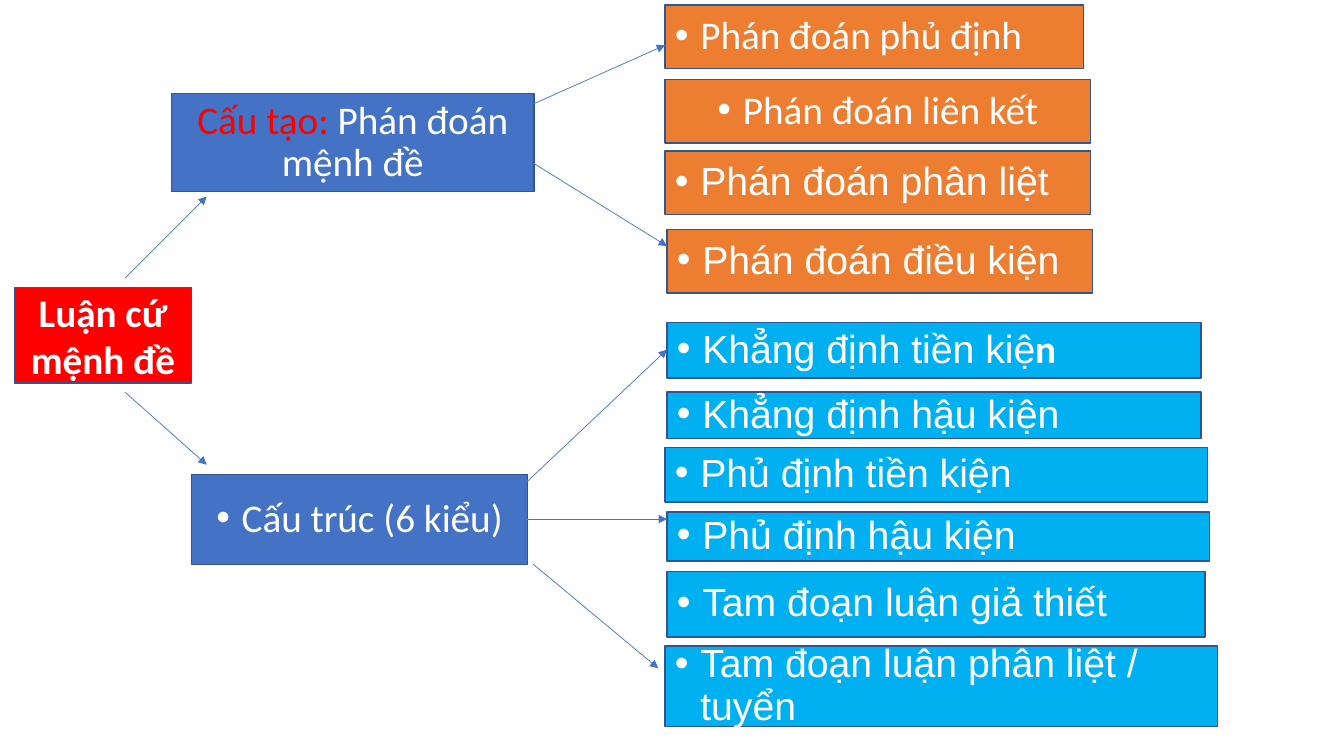
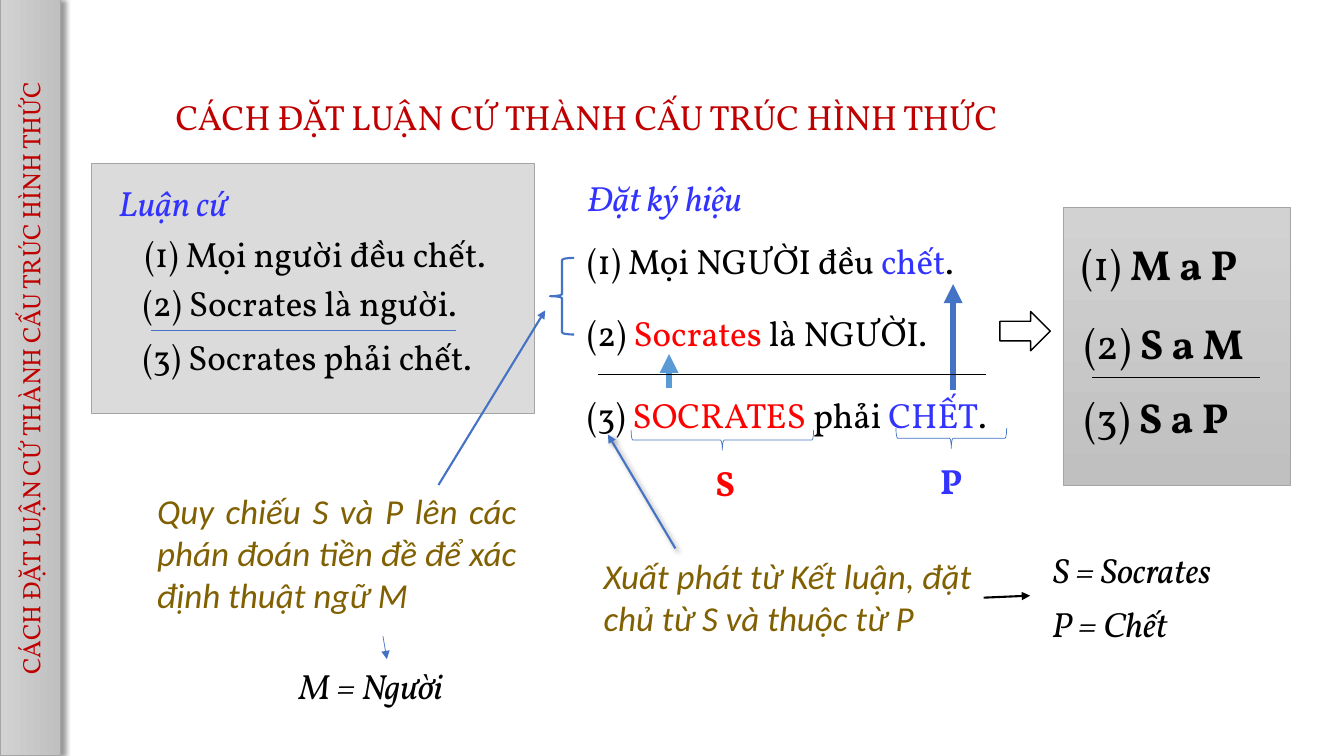
from lxml.etree import SubElement
from pptx import Presentation
from pptx.dml.color import RGBColor
from pptx.enum.shapes import MSO_CONNECTOR, MSO_SHAPE
from pptx.enum.text import MSO_ANCHOR, MSO_AUTO_SIZE, PP_ALIGN
from pptx.oxml.ns import qn
from pptx.util import Cm, Pt

BLUE, LIGHT_BLUE, SKY, ORANGE = "4472C4", "5B9BD5", "00B0F0", "ED7D31"
RED, DARK_RED, VIOLET, BROWN = "FF0000", "C00000", "3333FF", "806000"
BLACK, WHITE, BOX_EDGE, PANEL_EDGE, PANEL = "000000", "FFFFFF", "325491", "A5A5A5", "DBDBDB"
GRADIENT = ("D2D2D2", "C0C0C0")
HEADING = "CÁCH ĐẶT LUẬN CỨ THÀNH CẤU TRÚC HÌNH THỨC"


def rgb(color):
    return RGBColor.from_string(color)


def add_effects(s, shadow_angle=None):
    effects = SubElement(s._element.spPr, qn("a:effectLst"))
    if shadow_angle is None:
        return
    shadow = SubElement(effects, qn("a:outerShdw"), blurRad=str(Pt(4)), dist=str(Pt(3)),
                        dir=str(shadow_angle * 60000), rotWithShape="0")
    color = SubElement(shadow, qn("a:srgbClr"), val=BLACK)
    SubElement(color, qn("a:alpha"), val="40000")


def style_box(s, fill, edge, width):
    if isinstance(fill, tuple):
        s.fill.gradient()
        s.fill.gradient_angle = 270
        for stop, color in zip(s.fill.gradient_stops, fill):
            stop.color.rgb = rgb(color)
    elif fill:
        s.fill.solid()
        s.fill.fore_color.rgb = rgb(fill)
    else:
        s.fill.background()
    s.line.color.rgb = rgb(edge)
    s.line.width = Pt(width)


def add_box(slide, box, fill, edge, width=1, kind=MSO_SHAPE.RECTANGLE, rotation=0, shadow_angle=None):
    s = slide.shapes.add_shape(kind, *map(Cm, box))
    s.rotation = rotation
    style_box(s, fill, edge, width)
    add_effects(s, shadow_angle)
    return s


def add_line(slide, start, end, color=BLUE, width=0.5, arrow=True, shadow_angle=None):
    s = slide.shapes.add_connector(MSO_CONNECTOR.STRAIGHT, *map(Cm, (*start, *end)))
    s.line.color.rgb = rgb(color)
    s.line.width = Pt(width)
    if arrow:
        SubElement(s.line._get_or_add_ln(), qn("a:tailEnd"), type="triangle")
    add_effects(s, shadow_angle)


def write(s, runs, size=25, font="Vollkorn", align=PP_ALIGN.LEFT, anchor=MSO_ANCHOR.MIDDLE,
          bullet=None, spacing=1.0, bold=False, italic=False):
    tf = s.text_frame
    tf.word_wrap = True
    tf.auto_size = MSO_AUTO_SIZE.NONE
    tf.vertical_anchor = anchor
    p = tf.paragraphs[0]
    pPr = p._p.get_or_add_pPr()
    indent = Cm(0.64) if bullet else 0
    pPr.set("marL", str(indent))
    pPr.set("indent", str(-indent))
    if bullet:
        SubElement(pPr, qn("a:buFont"), typeface="Arial")
        SubElement(pPr, qn("a:buChar"), char=bullet)
    else:
        SubElement(pPr, qn("a:buNone"))
    p.alignment = align
    p.line_spacing = spacing
    p.space_before = Pt(0)
    for text, color, *style in runs:
        r = p.add_run()
        r.text = text
        r.font.size = Pt(size)
        r.font.name = style[0] if style and style[0] else font
        r.font.color.rgb = rgb(color)
        r.font.bold = bold or len(style) > 1
        r.font.italic = italic


def add_text(slide, x, y, w, runs, h=1.32, **style):
    s = slide.shapes.add_textbox(*map(Cm, (x, y, w, h)))
    write(s, runs, anchor=MSO_ANCHOR.TOP, **style)


def place(s, box):
    s.left, s.top, s.width, s.height = map(Cm, box)


def add_column(slide, x, y, fill, rows):
    for dx, dy, w, h, font, align, runs in rows:
        s = add_box(slide, (x + dx, y + dy, w, h), fill, BOX_EDGE)
        write(s, [(text, WHITE, *style) for text, *style in runs], 28, font, align,
              bullet="•", spacing=0.9)


def add_tree_slide(prs):
    slide = prs.slides.add_slide(prs.slide_layouts[1])
    title = slide.shapes.title
    title._element.getparent().remove(title._element)

    s = add_box(slide, (0.36, 7.24, 4.47, 2.41), RED, BOX_EDGE)
    write(s, [("Luận cứ mệnh đề", WHITE)], 28, "Calibri", PP_ALIGN.CENTER, bold=True)
    s = slide.placeholders[1]
    place(s, (4.32, 2.36, 9.14, 2.46))
    style_box(s, BLUE, BOX_EDGE, 1)
    write(s, [("Cấu tạo: ", RED), ("Phán đoán mệnh đề", WHITE)], 28, "Calibri",
          PP_ALIGN.CENTER, spacing=0.9)
    s = add_box(slide, (4.83, 11.96, 8.46, 2.26), BLUE, BOX_EDGE)
    write(s, [("Cấu trúc (6 kiểu)", WHITE)], 28, "Calibri", PP_ALIGN.CENTER,
          bullet="•", spacing=0.9)

    left, center = PP_ALIGN.LEFT, PP_ALIGN.CENTER
    add_column(slide, 16.76, 0.13, ORANGE, [
        (0, 0, 10.54, 1.6, "Calibri", left, [("Phán đoán phủ định",)]),
        (0, 1.88, 10.72, 1.6, "Calibri", center, [("Phán đoán liên kết",)]),
        (0, 3.68, 10.72, 1.6, "Arial", left, [("Phán đoán phân liệt",)]),
        (0.05, 5.66, 10.72, 1.6, "Arial", left, [("Phán đoán điều kiện",)]),
    ])
    add_column(slide, 16.76, 8.13, SKY, [
        (0.05, 0, 13.46, 1.4, "Arial", left, [("Khẳng định tiền kiệ",), ("n", "Calibri", "bold")]),
        (0.05, 1.75, 13.46, 1.17, "Arial", left, [("Khẳng định hậu kiện",)]),
        (0, 3.15, 13.67, 1.37, "Arial", left, [("Phủ định tiền kiện",)]),
        (0.05, 4.77, 13.67, 1.24, "Arial", left, [("Phủ định hậu kiện",)]),
        (0.05, 6.27, 13.56, 1.65, "Arial", left, [("Tam đoạn luận giả thiết",)]),
        (0, 8.15, 13.92, 2.03, "Arial", left, [("Tam đoạn luận phân liệt / tuyển",)]),
    ])
    for start, end in [
        ((3.15, 7.01), (5.21, 4.95)), ((3.15, 9.88), (5.21, 11.71)),
        ((13.44, 2.62), (16.76, 1.14)), ((13.44, 4.11), (16.81, 6.2)),
        ((13.28, 12.14), (16.81, 8.81)), ((13.28, 13.08), (16.81, 13.08)),
        ((13.44, 14.22), (16.59, 16.84)),
    ]:
        add_line(slide, start, end)


def add_argument(slide, x, y, w, h):
    add_box(slide, (x, y, w, h), PANEL, PANEL_EDGE, 0.5)
    add_text(slide, x + 0.43, y + 0.33, 4, [("Luận cứ", VIOLET)], italic=True)
    for dx, dy, text in [(1.09, 1.63, "(1) Mọi người đều chết."),
                         (1.04, 2.87, "(2) Socrates là người."),
                         (1.04, 4.22, "(3) Socrates phải chết.")]:
        add_text(slide, x + dx, y + dy, w - dx, [(text, BLACK)])
    add_line(slide, (x + 1.5, y + 4.22), (x + 9.19, y + 4.22), arrow=False)


def add_symbols(slide, x, y, w):
    add_text(slide, x, y, w, [("Đặt ký hiệu", VIOLET)], italic=True)
    for dy, runs in [
        (1.6, [("(1) Mọi NGƯỜI đều ", BLACK), ("chết", VIOLET), (".", BLACK)]),
        (3.4, [("(2) ", BLACK), ("Socrates", RED), (" là NGƯỜI.", BLACK)]),
        (5.46, [("(3) ", BLACK), ("SOCRATES", RED), (" phải ", BLACK),
                ("CHẾT", VIOLET), (".", BLACK)]),
    ]:
        add_text(slide, x, y + dy, w, runs)
    for dx, dy, letter, color in [(3.23, 7.19, "S", RED), (8.89, 7.14, "P", VIOLET)]:
        add_text(slide, x + dx, y + dy, 1.5, [(letter, color)], bold=True)
    for dx, bottom, top, color in [(2.31, 5.46, 4.6, LIGHT_BLUE), (9.47, 5.51, 2.84, BLUE)]:
        add_line(slide, (x + dx, y + bottom), (x + dx, y + top), color, 4.5)
    add_line(slide, (x + 0.53, y + 5.11), (x + 10.29, y + 5.11), BLACK, arrow=False)
    for dx, dy, bw, bh, width, rotation in [(-0.69, 2.18, 0.61, 1.93, 1.5, 0),
                                            (3.4, 4.47, 0.51, 4.6, 0.5, 270),
                                            (9.17, 5.33, 0.51, 2.79, 0.5, 270)]:
        add_box(slide, (x + dx, y + dy, bw, bh), None, BLUE, width, MSO_SHAPE.LEFT_BRACE, rotation)


def add_formulas(slide, x, y, w, h):
    add_box(slide, (x, y, w, h), GRADIENT, PANEL_EDGE, 0.5)
    for dx, dy, number, formula in [(0.2, 0.66, "(1) ", "M a P"), (0.28, 2.64, "(2) ", "S a M"),
                                    (0.28, 4.52, "(3) ", "S a P")]:
        add_text(slide, x + dx, y + dy, w - dx,
                 [(number, BLACK), (formula, BLACK, None, "bold")], h=1.55, size=30)
    add_line(slide, (x + 0.71, y + 4.27), (x + 4.95, y + 4.27), BLACK, arrow=False)


def add_notes(slide):
    add_text(slide, 3.71, 12.22, 9.55,
             [("Quy chiếu S và P lên các phán đoán tiền đề để xác định thuật ngữ M", BROWN)],
             h=3.45, font="Calibri", align=PP_ALIGN.JUSTIFY, italic=True)
    add_text(slide, 14.96, 13.84, 9.98,
             [("Xuất phát từ Kết luận, đặt chủ từ S và thuộc từ P", BROWN)],
             h=2.39, font="Calibri", italic=True)
    for x, y, text in [(26.29, 13.69, "S = Socrates"), (26.26, 15.06, "P = Chết"),
                       (7.29, 16.61, "M = Người")]:
        add_text(slide, x, y, 6.12, [(text, BLACK)], italic=True)
    add_line(slide, (17.02, 13.82), (15.32, 10.95), width=1.5, shadow_angle=45)
    add_line(slide, (11.05, 12.22), (13.74, 7.82), width=1.5)
    add_line(slide, (24.79, 15.06), (25.96, 15.01), BLACK, 1.5)
    add_line(slide, (9.65, 16.03), (9.75, 16.61))


def add_structure_slide(prs):
    slide = prs.slides.add_slide(prs.slide_layouts[5])
    title = slide.shapes.title
    place(title, (4.17, 2.29, 25.17, 1.32))
    write(title, [(HEADING, DARK_RED)], anchor=MSO_ANCHOR.TOP)
    band = add_box(slide, (-8.76, 8.76, 19.05, 1.52), GRADIENT, PANEL_EDGE, 0.5,
                   rotation=270, shadow_angle=0)
    write(band, [(HEADING, DARK_RED)], 18, align=PP_ALIGN.CENTER)
    add_argument(slide, 2.31, 4.11, 11.15, 6.3)
    add_symbols(slide, 14.55, 4.32, 11.5)
    add_box(slide, (25.2, 7.85, 1.27, 0.99), WHITE, BLACK, kind=MSO_SHAPE.RIGHT_ARROW)
    add_formulas(slide, 26.8, 5.23, 5.72, 6.99)
    add_notes(slide)


def main():
    prs = Presentation()
    prs.slide_width, prs.slide_height = Cm(33.87), Cm(19.05)
    add_tree_slide(prs)
    add_structure_slide(prs)
    prs.save("out.pptx")


if __name__ == "__main__":
    main()
